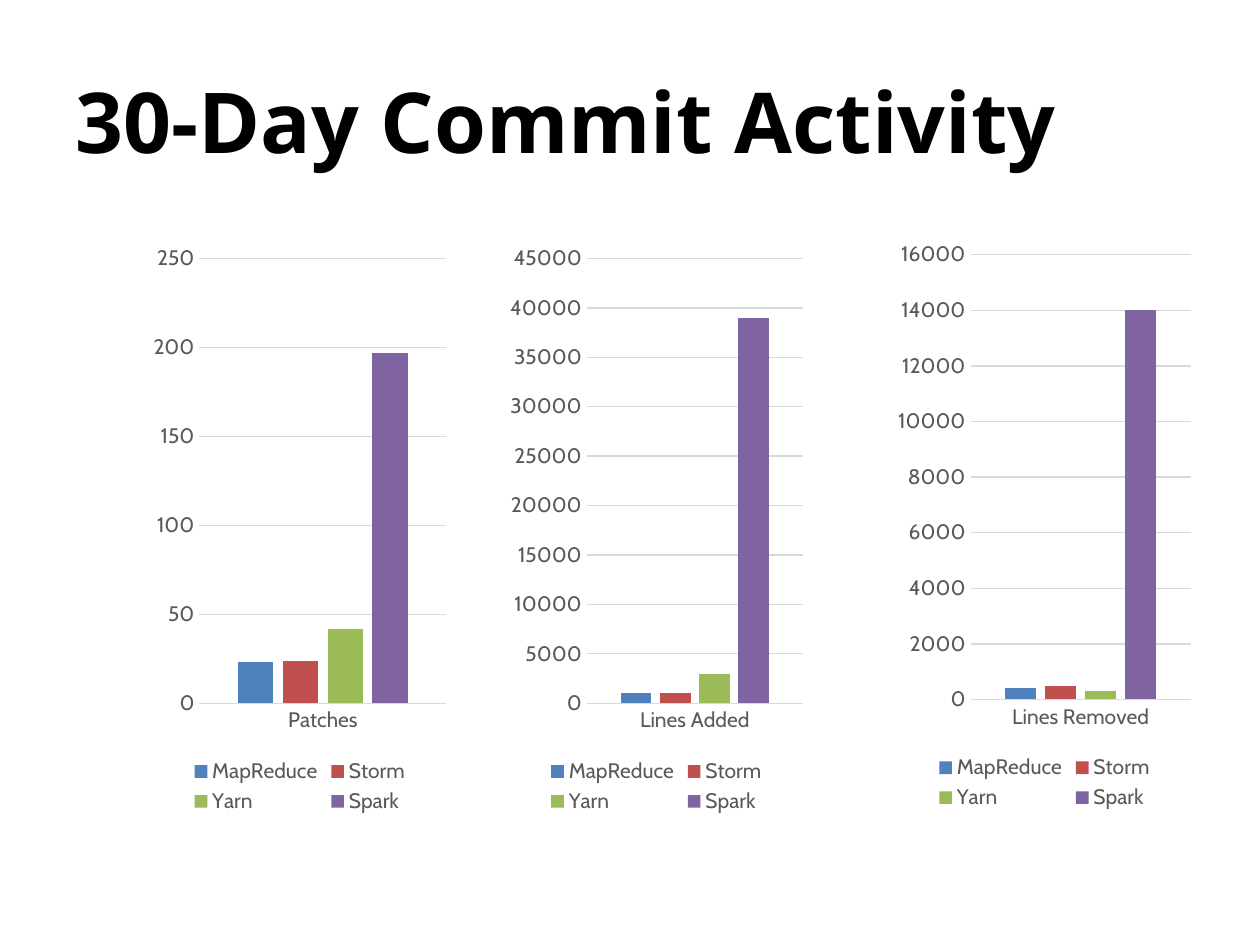
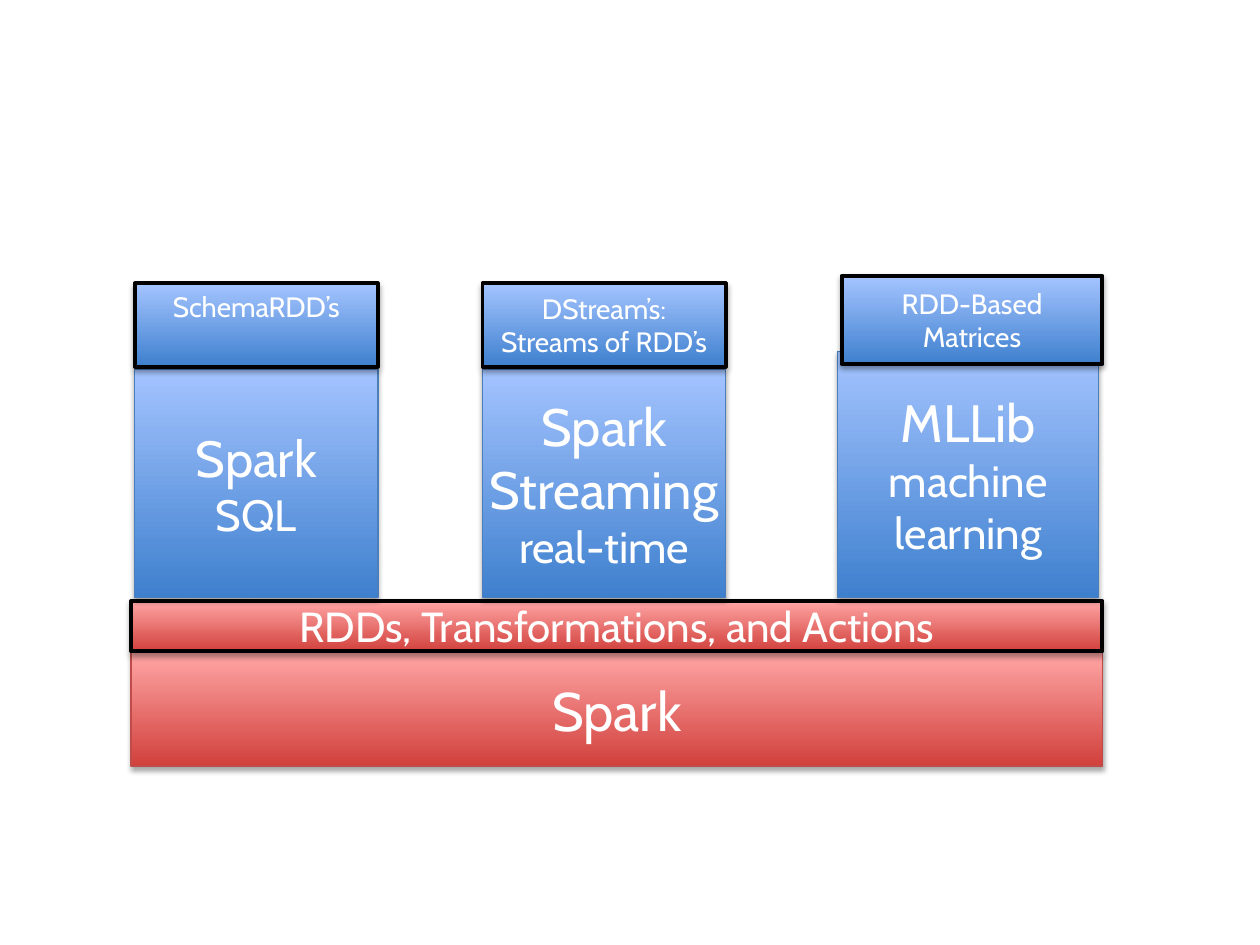
"""Build two slides: a commit activity comparison and the Spark library stack."""
from lxml.etree import SubElement
from pptx import Presentation
from pptx.chart.data import CategoryChartData
from pptx.dml.color import RGBColor
from pptx.enum.chart import XL_CHART_TYPE, XL_LEGEND_POSITION, XL_TICK_MARK
from pptx.enum.shapes import MSO_SHAPE
from pptx.enum.text import MSO_ANCHOR, PP_ALIGN
from pptx.oxml.ns import qn
from pptx.util import Inches, Pt

COLORS = {
    "black": "000000", "white": "FFFFFF", "label": "595959", "grid": "D9D9D9",
    "MapReduce": "4F81BD", "Storm": "C0504D", "Yarn": "9BBB59", "Spark": "8064A2",
    "red_low": "D1403C", "red_high": "FFA6A5", "red_edge": "BF4C48",
    "blue_low": "3F80CE", "blue_high": "A4C4FF", "blue_edge": "4B7EBC",
}
TITLE_FONT, BODY_FONT = "Open Sans", "Cabin"
PROJECTS = ["MapReduce", "Storm", "Yarn", "Spark"]
CHARTS = [
    ("Patches", 1.17, 1.86, [23, 24, 42, 197], 250, 50),
    ("Lines Added", 4, 1.86, [1000, 1000, 3000, 39000], 45000, 5000),
    ("Lines Removed", 7.08, 1.83, [400, 500, 300, 14000], 16000, 2000),
]
TOWERS = [
    ((3.83, 2.93, 1.93, 1.81), [("Spark Streaming", 30), ("real-time", 25)]),
    ((1.07, 2.93, 1.93, 1.81), [("Spark", 29), ("SQL", 25)]),
    ((6.65, 2.79, 2.07, 1.95), [("MLLib", 30), ("machine learning", 25)]),
]
CAPS = [
    ((3.83, 2.25, 1.93, 0.66), ["DStream’s:", "Streams of RDD’s"], MSO_ANCHOR.MIDDLE),
    ((1.07, 2.25, 1.93, 0.66), ["SchemaRDD’s"], MSO_ANCHOR.TOP),
    ((6.68, 2.19, 2.07, 0.7), ["RDD-Based", "Matrices"], MSO_ANCHOR.MIDDLE),
]


def color(name):
    return RGBColor.from_string(COLORS[name])


def style_font(font, size, color_name, family=BODY_FONT):
    font.size = Pt(size)
    font.name = family
    font.color.rgb = color(color_name)


def style_line(line, color_name, width):
    line.color.rgb = color(color_name)
    line.width = Pt(width)


def set_title(page, text):
    title = page.shapes.title
    title.left, title.top, title.width, title.height = map(Inches, (0.5, 0.33, 9, 1.25))
    title.text_frame.vertical_anchor = MSO_ANCHOR.MIDDLE
    para = title.text_frame.paragraphs[0]
    para.text = text
    para.alignment = PP_ALIGN.LEFT
    style_font(para.font, 48, "black", TITLE_FONT)
    para.font.bold = True


def add_column_chart(page, category, left, top, values, maximum, step):
    data = CategoryChartData()
    data.categories = [category]
    for project, value in zip(PROJECTS, values):
        data.add_series(project, [value])
    chart = page.shapes.add_chart(
        XL_CHART_TYPE.COLUMN_CLUSTERED, Inches(left), Inches(top),
        Inches(2.42), Inches(4.64), data).chart
    style_font(chart.font, 10, "black")
    chart.has_title = False

    chart.has_legend = True
    chart.legend.position = XL_LEGEND_POSITION.BOTTOM
    chart.legend.include_in_layout = False
    style_font(chart.legend.font, 12, "label")

    for axis in (chart.category_axis, chart.value_axis):
        axis.major_tick_mark = axis.minor_tick_mark = XL_TICK_MARK.NONE
        style_font(axis.tick_labels.font, 12, "label")
    style_line(chart.category_axis.format.line, "grid", 0.75)
    scale = chart.value_axis
    scale.minimum_scale, scale.maximum_scale, scale.major_unit = 0, maximum, step
    scale.format.line.fill.background()
    style_line(scale.major_gridlines.format.line, "grid", 0.75)

    plot = chart.plots[0]
    plot.gap_width, plot.overlap = 219, -27
    plot.vary_by_categories = False
    for series in plot.series:
        series.format.fill.solid()
        series.format.fill.fore_color.rgb = color(series.name)


def add_soft_shadow(box):
    box.shadow.inherit = False
    effects = box._element.spPr.find(qn("a:effectLst"))
    shadow = SubElement(effects, qn("a:outerShdw"), blurRad=str(Pt(3.1)),
                        dist=str(Pt(1.8)), dir="5400000", rotWithShape="0")
    shade = SubElement(shadow, qn("a:srgbClr"), val=COLORS["black"])
    SubElement(shade, qn("a:alpha"), val="35000")


def add_block(page, place, hue, lines, outlined=False, anchor=MSO_ANCHOR.MIDDLE):
    box = page.shapes.add_shape(MSO_SHAPE.RECTANGLE, *map(Inches, place))
    box.fill.gradient()
    box.fill.gradient_angle = 90
    for stop, end in zip(box.fill.gradient_stops, ("low", "high")):
        stop.color.rgb = color(f"{hue}_{end}")
    if outlined:
        style_line(box.line, "black", 2.25)
    else:
        style_line(box.line, f"{hue}_edge", 0.75)
    add_soft_shadow(box)

    frame = box.text_frame
    frame.word_wrap = True
    frame.vertical_anchor = anchor
    frame.margin_left = frame.margin_right = 0
    frame.margin_top = frame.margin_bottom = Inches(0.05)
    for index, (text, size) in enumerate(lines):
        para = frame.add_paragraph() if index else frame.paragraphs[0]
        para.text = text
        para.alignment = PP_ALIGN.CENTER
        style_font(para.font, size, "white")


def build_activity_page(deck):
    page = deck.slides.add_slide(deck.slide_layouts[5])
    set_title(page, "30-Day Commit Activity")
    for chart in CHARTS:
        add_column_chart(page, *chart)


def build_stack_page(deck):
    page = deck.slides.add_slide(deck.slide_layouts[6])
    add_block(page, (1.04, 5.18, 7.71, 0.9), "red", [("Spark", 31)])
    add_block(page, (1.04, 4.77, 7.71, 0.4), "red",
              [("RDDs, Transformations, and Actions", 24)], outlined=True)
    for place, lines in TOWERS:
        add_block(page, place, "blue", lines)
    for place, texts, anchor in CAPS:
        add_block(page, place, "blue", [(text, 16) for text in texts], True, anchor)


def main():
    deck = Presentation()
    deck.slide_width, deck.slide_height = Inches(10), Inches(7.5)
    build_activity_page(deck)
    build_stack_page(deck)
    deck.save("out.pptx")


if __name__ == "__main__":
    main()
